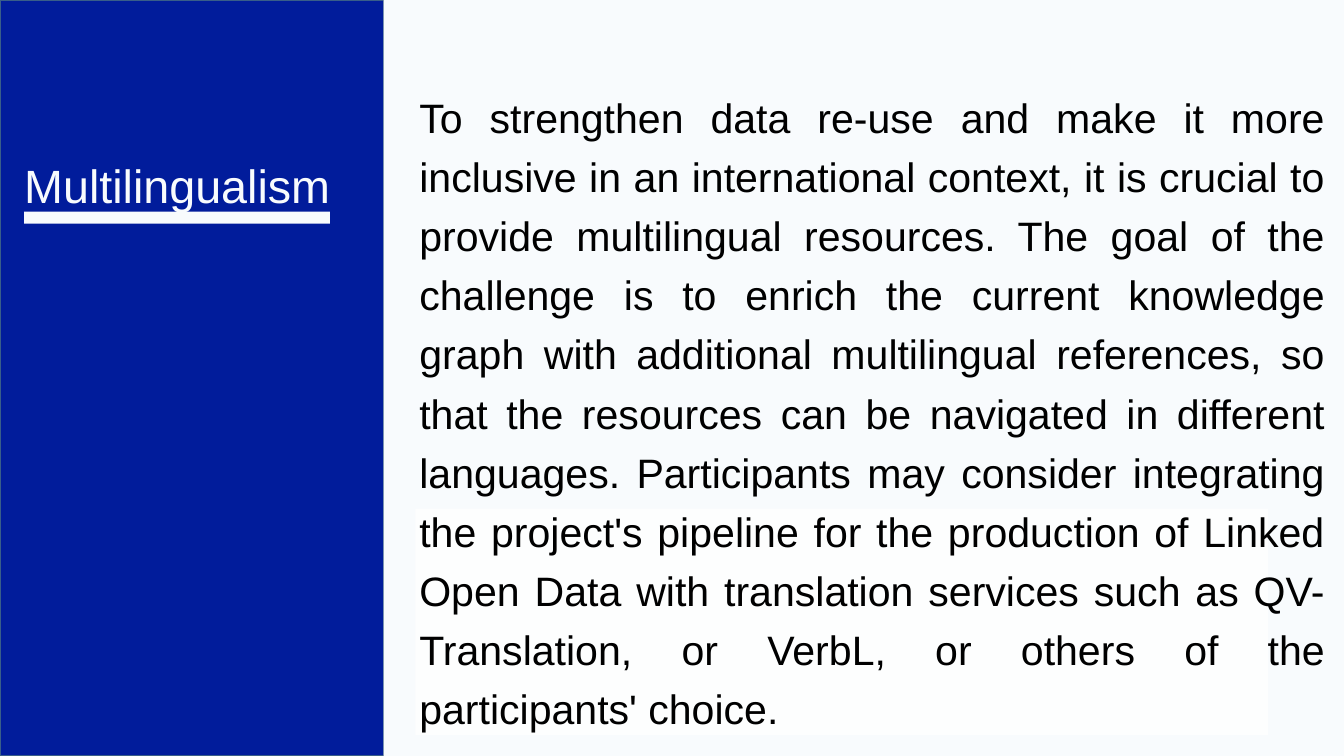
from lxml import etree
from pptx import Presentation
from pptx.dml.color import RGBColor
from pptx.enum import shapes, text
from pptx.oxml.ns import qn
from pptx.util import Inches, Pt

NAVY, PALE, WHITE, BLACK = "011C9B", "F8FBFD", "FFFFFF", "000000"


def paint(fill, color):
    fill.solid()
    fill.fore_color.rgb = RGBColor.from_string(color)


prs = Presentation()
prs.slide_width, prs.slide_height = Inches(20), Inches(11.25)
s = prs.slides.add_slide(prs.slide_layouts[6])
paint(s.background.fill, WHITE)

# Side panel, content panel, title underline, translucent highlight
panels = []
for box, color in [
    ((0, 0, 5.71, 11.25), NAVY),
    ((5.71, -0.44, 14.29, 12.13), PALE),
    ((0.36, 3.15, 4.55, 0.18), PALE),
    ((6.18, 7.57, 12.69, 3.37), WHITE),
]:
    sp = s.shapes.add_shape(shapes.MSO_SHAPE.RECTANGLE, *map(Inches, box))
    sp.shadow.inherit = False
    paint(sp.fill, color)
    sp.line.fill.background()
    panels.append(sp)

sidebar, highlight = panels[0], panels[-1]
paint(sidebar.line.fill, "395E89")
sidebar.line.width = Pt(2)
srgb = highlight.fill._xPr.find(".//" + qn("a:srgbClr"))
etree.SubElement(srgb, qn("a:alpha"), val="85000")

title = "Multilingualism"
body = (
    "To strengthen data re-use and make it more inclusive in an international "
    "context, it is crucial to provide multilingual resources. The goal of the "
    "challenge is to enrich the current knowledge graph with additional "
    "multilingual references, so that the resources can be navigated in "
    "different languages. Participants may consider integrating the project's "
    "pipeline for the production of Linked Open Data with translation services "
    "such as QV-Translation, or VerbL, or others of the participants' choice."
)
for box, words, size, color, spacing, align in [
    ((0.36, 1.69, 6.91, 1.1), title, 50, PALE, 1.77, text.PP_ALIGN.LEFT),
    ((6.24, 1.23, 13.49, 8.13), body, 44, BLACK, 1.2, text.PP_ALIGN.JUSTIFY),
]:
    tf = s.shapes.add_textbox(*map(Inches, box)).text_frame
    tf.word_wrap = True
    tf.auto_size = text.MSO_AUTO_SIZE.SHAPE_TO_FIT_TEXT
    tf.margin_left = tf.margin_top = tf.margin_right = tf.margin_bottom = 0
    p = tf.paragraphs[0]
    p.alignment = align
    p.line_spacing = spacing
    r = p.add_run()
    r.text = words
    r.font.name = "Arial"
    r.font.size = Pt(size)
    paint(r.font.fill, color)

prs.save("out.pptx")
